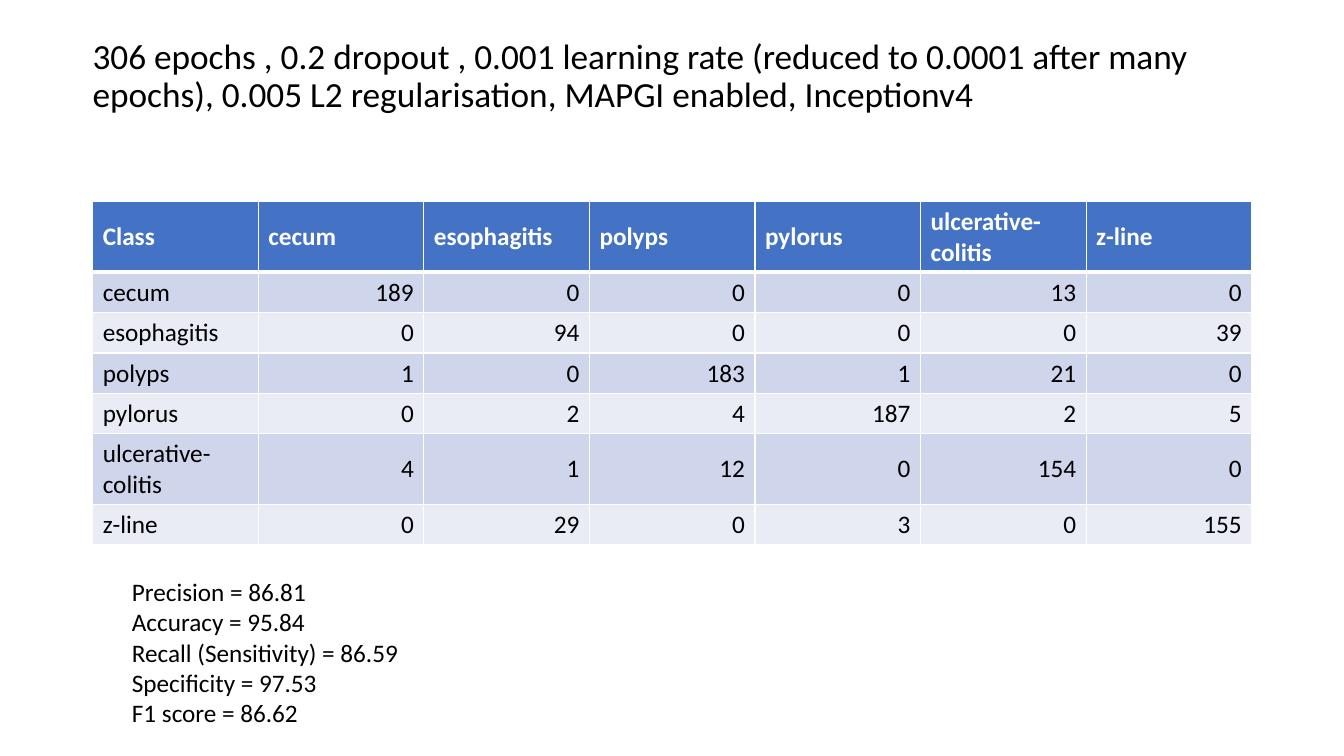
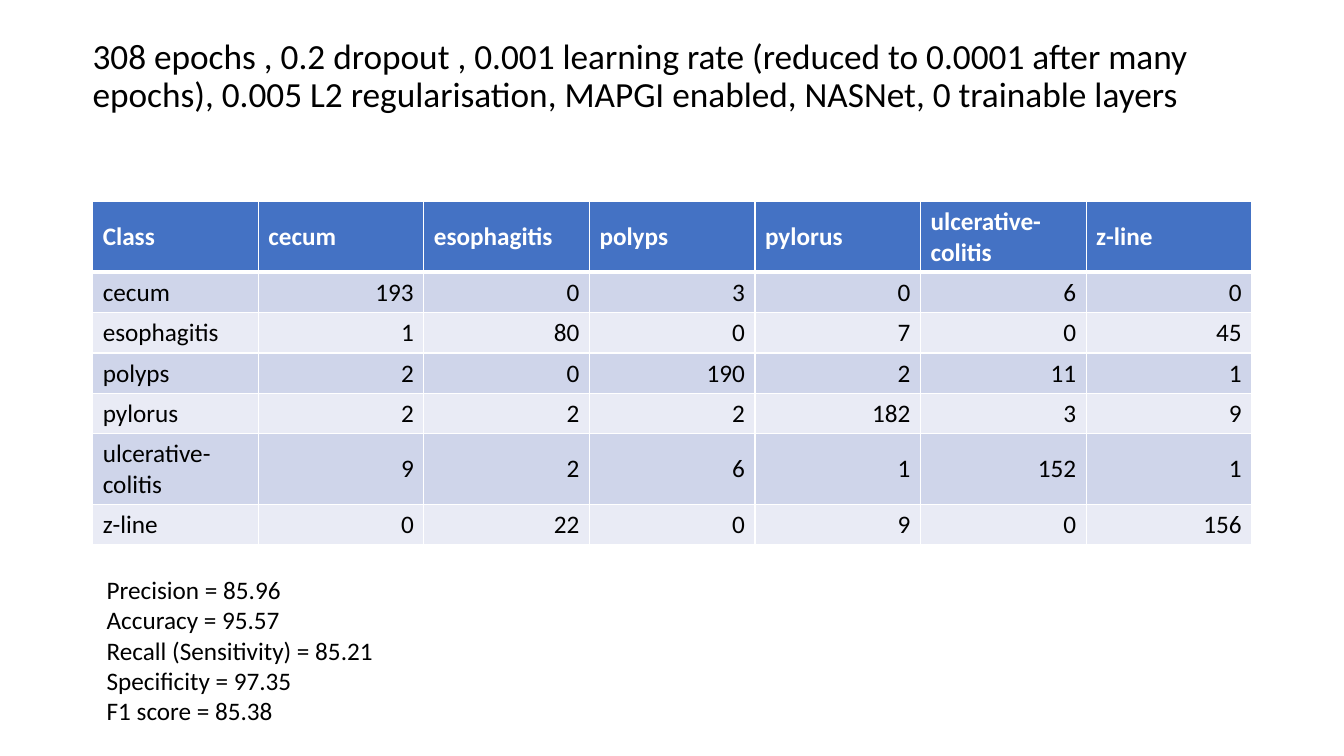
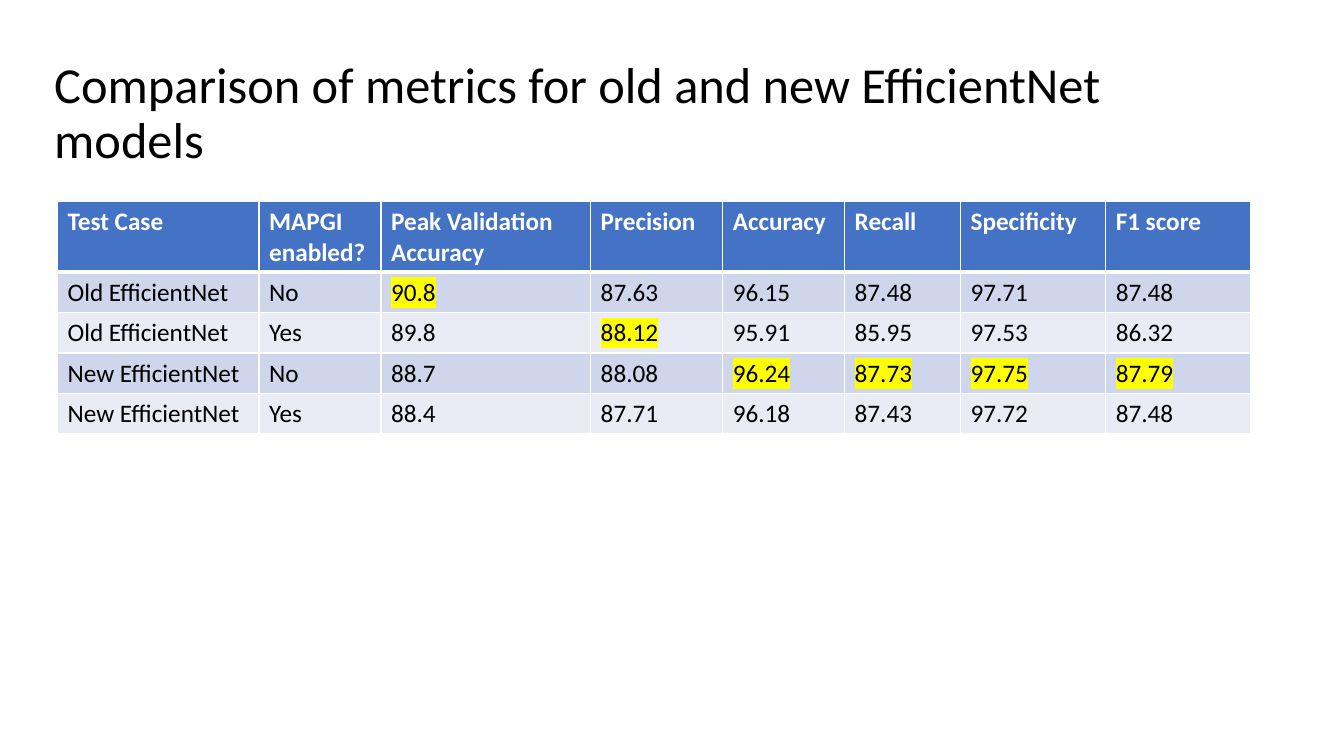
from lxml.etree import SubElement
from pptx import Presentation
from pptx.dml.color import RGBColor
from pptx.enum.text import MSO_ANCHOR as Anchor, PP_ALIGN as Align
from pptx.oxml import parse_xml
from pptx.oxml.ns import nsdecls, qn
from pptx.util import Inches, Pt

BLACK = RGBColor(0x00, 0x00, 0x00)
WHITE = RGBColor(0xFF, 0xFF, 0xFF)
HEADER_BLUE = RGBColor(0x44, 0x72, 0xC4)
BAND_DARK = RGBColor(0xCF, 0xD5, 0xEA)
BAND_LIGHT = RGBColor(0xE9, 0xEB, 0xF5)
YELLOW = RGBColor(0xFF, 0xFF, 0x00)

SLIDE_W, SLIDE_H = Inches(13.33), Inches(7.5)
TABLE_TOP = 26.67
ROW_H, TALL_ROW_H = 5.33, 9.33
THIN, THICK = Pt(1), Pt(3)

BODY = {"name": "Calibri", "size": Pt(18), "bold": False}
HEADER = {**BODY, "bold": True}
RUN_TITLE = {**BODY, "size": Pt(25.2)}
COMPARISON_TITLE = {**BODY, "size": Pt(36)}

CLASSES = ["cecum", "esophagitis", "polyps", "pylorus", "ulcerative-colitis", "z-line"]
METRICS = ["Precision", "Accuracy", "Recall (Sensitivity)", "Specificity", "F1 score"]
RUN_PREFIX = ("{} epochs , 0.2 dropout , 0.001 learning rate (reduced to 0.0001 after many "
              "epochs), 0.005 L2 regularisation, MAPGI enabled, {}")

RUNS = [
    {
        "title": RUN_PREFIX.format(306, "Inceptionv4"),
        "counts": [
            [189, 0, 0, 0, 13, 0],
            [0, 94, 0, 0, 0, 39],
            [1, 0, 183, 1, 21, 0],
            [0, 2, 4, 187, 2, 5],
            [4, 1, 12, 0, 154, 0],
            [0, 29, 0, 3, 0, 155],
        ],
        "scores": [86.81, 95.84, 86.59, 97.53, 86.62],
        "scores_at": (9.08, 75.6),
    },
    {
        "title": RUN_PREFIX.format(308, "NASNet, 0 trainable layers"),
        "counts": [
            [193, 0, 3, 0, 6, 0],
            [1, 80, 0, 7, 0, 45],
            [2, 0, 190, 2, 11, 1],
            [2, 2, 2, 182, 3, 9],
            [9, 2, 6, 1, 152, 1],
            [0, 22, 0, 9, 0, 156],
        ],
        "scores": [85.96, 95.57, 85.21, 97.35, 85.38],
        "scores_at": (7.2, 75.33),
    },
]

COMPARISON = [
    ["Test Case", "MAPGI enabled?", "Peak Validation Accuracy", "Precision",
     "Accuracy", "Recall", "Specificity", "F1 score"],
    ["Old EfficientNet", "No", 90.8, 87.63, 96.15, 87.48, 97.71, 87.48],
    ["Old EfficientNet", "Yes", 89.8, 88.12, 95.91, 85.95, 97.53, 86.32],
    ["New EfficientNet", "No", 88.7, 88.08, 96.24, 87.73, 97.75, 87.79],
    ["New EfficientNet", "Yes", 88.4, 87.71, 96.18, 87.43, 97.72, 87.48],
]
COMPARISON_COLUMNS = [2, 1.21, 2.08, 1.31, 1.21, 1.15, 1.44, 1.44]
BEST_SCORES = {(1, 2), (2, 3), (3, 4), (3, 5), (3, 6), (3, 7)}


def across(percent):
    return round(SLIDE_W * percent / 100)


def down(percent):
    return round(SLIDE_H * percent / 100)


def write(paragraph, text, style, color=BLACK):
    run = paragraph.add_run()
    run.text = str(text)
    for key, value in style.items():
        setattr(run.font, key, value)
    run.font.color.rgb = color
    return run


def highlight(run):
    mark = parse_xml(f'<a:highlight {nsdecls("a")}><a:srgbClr val="{YELLOW}"/></a:highlight>')
    run.font.fill
    run._r.get_or_add_rPr().find(qn("a:solidFill")).addnext(mark)


def add_text(slide, box, lines, style, anchor=Anchor.TOP, spacing=1.0):
    left, top, width, height = box
    frame = slide.shapes.add_textbox(
        across(left), down(top), across(width), down(height)).text_frame
    frame.word_wrap = True
    frame.vertical_anchor = anchor
    for index, line in enumerate(lines):
        paragraph = frame.paragraphs[0] if index == 0 else frame.add_paragraph()
        paragraph.line_spacing = spacing
        write(paragraph, line, style)


def add_title(slide, box, text, style):
    add_text(slide, box, [text], style, Anchor.MIDDLE, 0.9)


def set_borders(cell, row):
    widths = {"lnL": THIN, "lnR": THIN,
              "lnT": THICK if row == 1 else THIN,
              "lnB": THICK if row == 0 else THIN}
    properties = cell._tc.get_or_add_tcPr()
    for index, (side, width) in enumerate(widths.items()):
        border = parse_xml(f'<a:{side} {nsdecls("a")} w="{width}"/>')
        fill = SubElement(border, qn("a:solidFill"))
        SubElement(fill, qn("a:srgbClr"), val=str(WHITE))
        properties.insert(index, border)


def add_data_table(slide, left, width, rows, column_weights, anchor,
                   number_align=Align.LEFT, tall_rows=(0,), highlighted=()):
    heights = [TALL_ROW_H if row in tall_rows else ROW_H for row in range(len(rows))]
    table = slide.shapes.add_table(
        len(rows), len(column_weights), across(left), down(TABLE_TOP),
        across(width), down(sum(heights))).table
    for column, weight in zip(table.columns, column_weights):
        column.width = across(width * weight / sum(column_weights))
    for row, values in enumerate(rows):
        table.rows[row].height = down(heights[row])
        band = BAND_DARK if row % 2 else BAND_LIGHT
        for column, value in enumerate(values):
            cell = table.cell(row, column)
            cell.fill.solid()
            cell.fill.fore_color.rgb = band if row else HEADER_BLUE
            cell.vertical_anchor = anchor
            set_borders(cell, row)
            paragraph = cell.text_frame.paragraphs[0]
            paragraph.alignment = Align.LEFT if isinstance(value, str) else number_align
            run = write(paragraph, value, BODY if row else HEADER, BLACK if row else WHITE)
            if (row, column) in highlighted:
                highlight(run)


def add_run_slide(slide, title, counts, scores, scores_at):
    add_title(slide, (6.15, 3.2, 86.25, 14), title, RUN_TITLE)
    rows = [["Class", *CLASSES]]
    rows += [[name, *values] for name, values in zip(CLASSES, counts)]
    add_data_table(slide, 6.9, 86.25, rows, [1] * len(rows[0]), Anchor.MIDDLE,
                   Align.RIGHT, tall_rows=(0, 5))
    lines = [f"{metric} = {score}" for metric, score in zip(METRICS, scores)]
    add_text(slide, (*scores_at, 22.5, 21.7), lines, BODY)


def add_comparison_slide(slide):
    add_title(slide, (3.3, 5.33, 90.5, 19.73),
              "Comparison of metrics for old and new EfficientNet models", COMPARISON_TITLE)
    add_data_table(slide, 4.28, 88.8, COMPARISON, COMPARISON_COLUMNS, Anchor.TOP,
                   highlighted=BEST_SCORES)


def main():
    deck = Presentation()
    deck.slide_width, deck.slide_height = SLIDE_W, SLIDE_H
    blank = deck.slide_layouts[6]
    for run in RUNS:
        add_run_slide(deck.slides.add_slide(blank), **run)
    add_comparison_slide(deck.slides.add_slide(blank))
    deck.save("out.pptx")


if __name__ == "__main__":
    main()
